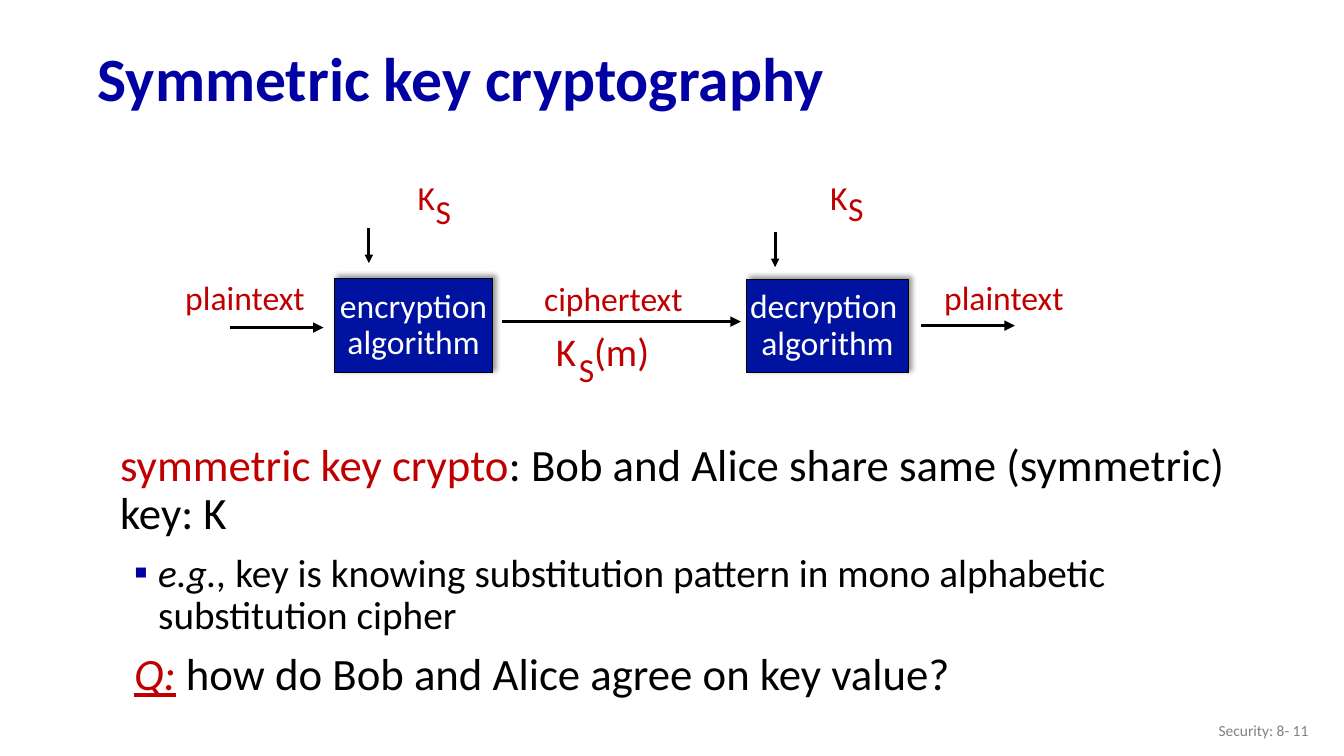
import pptx
import pptx.util
import pptx.dml.color
import pptx.enum.shapes
import pptx.enum.text
import pptx.oxml
import pptx.oxml.ns
import lxml.etree

Pt = pptx.util.Pt
ALIGN = pptx.enum.text.PP_ALIGN
ANCHOR = pptx.enum.text.MSO_ANCHOR
COLORS = {"navy": "0000A3", "box": "0012A0", "red": "C00000",
          "black": "000000", "white": "FFFFFF", "gray": "808080"}


def rgb(name):
    return pptx.dml.color.RGBColor.from_string(COLORS[name])


def write(paragraph, text, size=24, color="red", bold=False, italic=False, underline=False):
    run = paragraph.add_run()
    run.text = text
    run.font.name = "Calibri"
    run.font.size = Pt(size)
    run.font.color.rgb = rgb(color)
    run.font.bold = bold
    run.font.italic = italic
    run.font.underline = underline


deck = pptx.Presentation()
deck.slide_width, deck.slide_height = Pt(960), Pt(540)
slide = deck.slides.add_slide(deck.slide_layouts[1])

# Title
title = slide.shapes.title
title.left, title.top, title.width, title.height = Pt(62.6), Pt(23), Pt(828), Pt(70.6)
title.text_frame.vertical_anchor = ANCHOR.MIDDLE
heading = title.text_frame.paragraphs[0]
heading.alignment = ALIGN.LEFT
heading.line_spacing = 0.9
write(heading, "Symmetric key cryptography", size=44, color="navy", bold=True)

# Encryption and decryption boxes with a soft shadow up and to the right
for left, top, width, height, lines in [
    (239, 198.7, 113, 67.7, ["encryption", "algorithm"]),
    (533.5, 199.4, 115.2, 67, ["decryption ", "algorithm"]),
]:
    algorithm = slide.shapes.add_shape(
        pptx.enum.shapes.MSO_SHAPE.RECTANGLE, Pt(left), Pt(top), Pt(width), Pt(height))
    algorithm.fill.solid()
    algorithm.fill.fore_color.rgb = rgb("box")
    algorithm.line.color.rgb = rgb("black")
    algorithm.line.width = Pt(0.75)
    algorithm.shadow.inherit = False
    effects = algorithm._element.spPr.find(pptx.oxml.ns.qn("a:effectLst"))
    effects.append(pptx.oxml.parse_xml(
        f'<a:outerShdw {pptx.oxml.ns.nsdecls("a")} blurRad="{Pt(4)}" dist="{Pt(3)}" '
        f'dir="{315 * 60000}" algn="bl" rotWithShape="0"><a:srgbClr val="{COLORS["black"]}">'
        '<a:alpha val="40000"/></a:srgbClr></a:outerShdw>'))
    frame = algorithm.text_frame
    frame.word_wrap = False
    frame.vertical_anchor = ANCHOR.MIDDLE
    for index, line in enumerate(lines):
        paragraph = frame.add_paragraph() if index else frame.paragraphs[0]
        paragraph.alignment = ALIGN.CENTER
        paragraph.line_spacing = 0.9
        write(paragraph, line, color="white")

# Arrows for keys and messages
for x1, y1, x2, y2, weight in [
    (553.7, 165.6, 553.7, 190.8, 2),
    (263.5, 162.7, 263.5, 187.9, 2),
    (164.2, 234, 231.1, 234, 2.5),
    (658.1, 232.6, 725, 232.6, 2.5),
    (358.6, 229.7, 529.2, 229.7, 2.5),
]:
    arrow = slide.shapes.add_connector(
        pptx.enum.shapes.MSO_CONNECTOR.STRAIGHT, Pt(x1), Pt(y1), Pt(x2), Pt(y2))
    arrow.line.color.rgb = rgb("black")
    arrow.line.width = Pt(weight)
    lxml.etree.SubElement(arrow.line._get_or_add_ln(),
                          pptx.oxml.ns.qn("a:tailEnd"), type="triangle")
    lxml.etree.SubElement(arrow._element.spPr, pptx.oxml.ns.qn("a:effectLst"))

# Message and key labels, and the page footer
footer = "Security: 8- 11"
for text, left, top, width, height, size in [
    ("plaintext", 124.6, 194.4, 100.8, 36.7, 24),
    ("plaintext", 666.7, 194.4, 100.8, 36.7, 24),
    ("ciphertext", 380.9, 195.1, 114.5, 36.7, 24),
    ("K", 290.9, 123.1, 27.4, 36.7, 24),
    ("S", 303.8, 132.5, 25.9, 36.7, 24),
    ("K", 585.4, 123.1, 27.4, 36.7, 24),
    ("S", 598.3, 131, 25.9, 36.7, 24),
    ("K", 389.8, 230.4, 29, 41, 28),
    ("S", 406.1, 245.5, 25.9, 36, 24),
    ("(m)", 417, 230.4, 54, 41, 28),
    (footer, 725.8, 507.6, 216, 28.8, 11),
]:
    label = slide.shapes.add_textbox(Pt(left), Pt(top), Pt(width), Pt(height))
    is_footer = text == footer
    label.text_frame.word_wrap = is_footer
    label.text_frame.vertical_anchor = ANCHOR.MIDDLE if is_footer else ANCHOR.TOP
    paragraph = label.text_frame.paragraphs[0]
    paragraph.alignment = ALIGN.RIGHT if is_footer else ALIGN.CENTER
    write(paragraph, text, size=size, color="gray" if is_footer else "red")

# Explanation: left margin, first-line indent, bullet, runs
explanation = slide.placeholders[1]
explanation.left, explanation.top = Pt(77.8), Pt(312.5)
explanation.width, explanation.height = Pt(830.2), Pt(191.5)
explanation.text_frame.auto_size = pptx.enum.text.MSO_AUTO_SIZE.NONE
explanation.text_frame.vertical_anchor = ANCHOR.TOP
points = [
    (0.7, 0, None, [
        ("symmetric key crypto", dict(size=32)),
        (": Bob and Alice share same (symmetric) key: K", dict(size=32, color="black"))]),
    (28, -17.3, "▪", [
        ("e.g., ", dict(size=28, color="black", italic=True)),
        ("key is knowing substitution pattern in mono alphabetic substitution cipher",
         dict(size=28, color="black"))]),
    (28, -17.3, None, [
        ("Q:", dict(size=32, italic=True, underline=True)),
        (" ", dict(size=32, italic=True)),
        ("how do Bob and Alice agree on key value?", dict(size=32, color="black"))]),
]
for index, (margin, indent, bullet, runs) in enumerate(points):
    frame = explanation.text_frame
    paragraph = frame.add_paragraph() if index else frame.paragraphs[0]
    properties = paragraph._p.get_or_add_pPr()
    properties.set("marL", str(Pt(margin)))
    properties.set("indent", str(Pt(indent)))
    if bullet:
        tint = lxml.etree.SubElement(properties, pptx.oxml.ns.qn("a:buClr"))
        lxml.etree.SubElement(tint, pptx.oxml.ns.qn("a:srgbClr"), val=COLORS["navy"])
        lxml.etree.SubElement(properties, pptx.oxml.ns.qn("a:buFont"), typeface="Calibri")
        lxml.etree.SubElement(properties, pptx.oxml.ns.qn("a:buChar"), char=bullet)
    else:
        lxml.etree.SubElement(properties, pptx.oxml.ns.qn("a:buNone"))
    paragraph.alignment = ALIGN.LEFT
    paragraph.line_spacing = 0.9
    paragraph.space_before = Pt(10 if index else 0)
    for text, look in runs:
        write(paragraph, text, **look)

deck.save("out.pptx")
